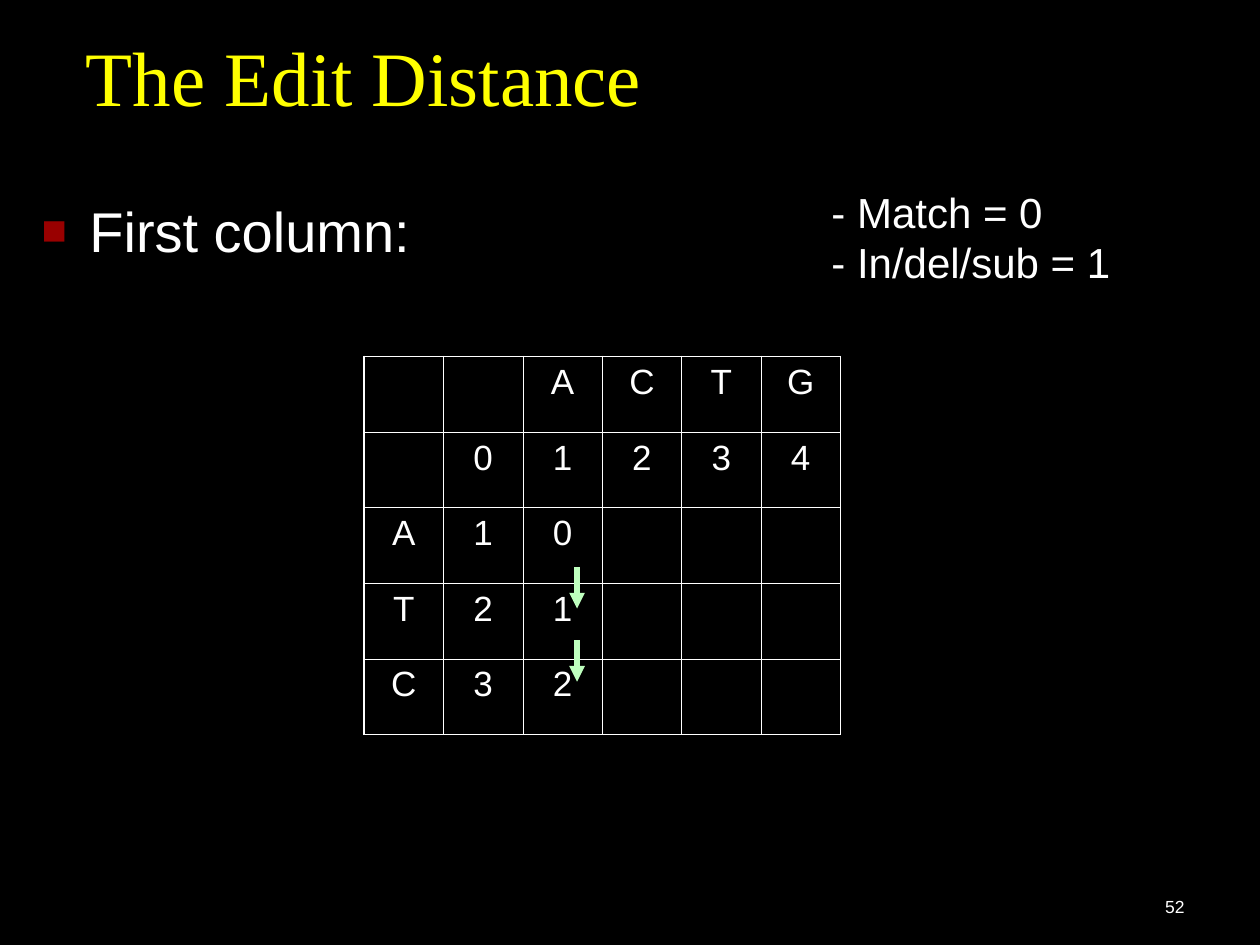
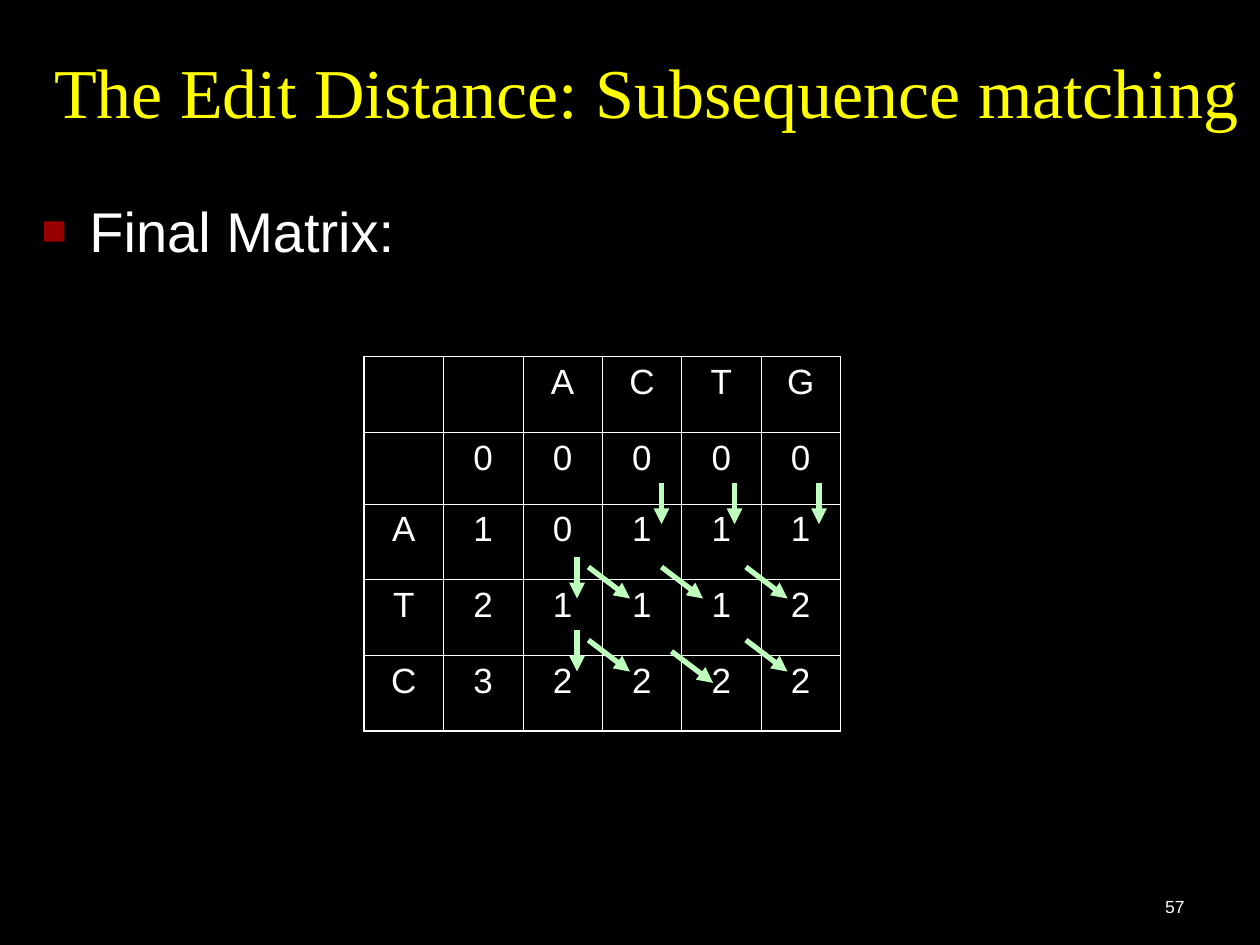
from dataclasses import dataclass

from lxml.etree import SubElement as Sub
from pptx import Presentation
from pptx.dml.color import RGBColor as RGB
from pptx.enum.shapes import MSO_CONNECTOR as Conn
from pptx.enum.text import MSO_ANCHOR as Anchor, MSO_AUTO_SIZE as Fit, PP_ALIGN as Align
from pptx.oxml.ns import qn
from pptx.util import Inches, Pt


@dataclass(frozen=True)
class Theme:
    back: str = "000000"
    head: str = "FFFF00"
    ink: str = "FFFFFF"
    mark: str = "990000"
    arrow: str = "BEFFBE"
    serif: str = "Times New Roman"
    sans: str = "Arial"
    list_size: int = 32
    note_size: int = 24
    cell_size: int = 20
    foot_size: int = 10
    thin: float = 0.45
    thick: float = 1.08
    shaft: int = 3


THEME = Theme()
DOWN = (0, 0.33)
SLANT = (0.33, 0.25)


def write(frame, text, size, font=THEME.sans, color=THEME.ink, align=Align.LEFT,
          anchor=Anchor.TOP, space=1.0, wrap=True):
    """Fill a text frame, one paragraph for each line of text."""
    frame.auto_size = Fit.NONE
    frame.word_wrap = wrap
    frame.vertical_anchor = anchor
    for i, line in enumerate(text.split("\n")):
        para = frame.paragraphs[0] if i == 0 else frame.add_paragraph()
        para.alignment = align
        para.line_spacing = space
        para.space_before = Pt(0)
        run = para.add_run()
        run.text = line
        run.font.size = Pt(size)
        run.font.name = font
        run.font.color.rgb = RGB.from_string(color)


class Deck:
    def __init__(self, theme):
        self.theme = theme
        self.prs = Presentation()
        self.prs.slide_width, self.prs.slide_height = Inches(10), Inches(7.5)
        fill = self.prs.slide_master.background.fill
        fill.solid()
        fill.fore_color.rgb = RGB.from_string(theme.back)
        self.slide = None

    def start(self, number):
        """Add a slide with its number at the lower right."""
        self.slide = self.prs.slides.add_slide(self.prs.slide_layouts[1])
        self.label(str(number), (7.42, 6.83, 2.08, 0.5), self.theme.foot_size,
                   align=Align.RIGHT, anchor=Anchor.BOTTOM)

    def place(self, shape, box):
        shape.left, shape.top, shape.width, shape.height = map(Inches, box)

    def title(self, text, box, size):
        shape = self.slide.shapes.title
        self.place(shape, box)
        write(shape.text_frame, text, size, font=self.theme.serif,
              color=self.theme.head, anchor=Anchor.BOTTOM, space=0.8)

    def bullet(self, text):
        shape = self.slide.placeholders[1]
        self.place(shape, (0.23, 1.51, 9.77, 3.57))
        write(shape.text_frame, text, self.theme.list_size)
        for para in shape.text_frame.paragraphs:
            props = para._p.get_or_add_pPr()
            props.set("marL", str(Inches(0.38)))
            props.set("indent", str(-Inches(0.38)))
            Sub(Sub(props, qn("a:buClr")), qn("a:srgbClr"), val=self.theme.mark)
            Sub(props, qn("a:buSzPct"), val="75000")
            Sub(props, qn("a:buFont"), typeface=self.theme.sans)
            Sub(props, qn("a:buChar"), char="■")

    def label(self, text, box, size, **style):
        shape = self.slide.shapes.add_textbox(*map(Inches, box))
        write(shape.text_frame, text, size, **style)

    def border(self, cell, side, width):
        line = Sub(cell._tc.get_or_add_tcPr(), qn(f"a:ln{side}"), w=str(Pt(width)))
        Sub(Sub(line, qn("a:solidFill")), qn("a:srgbClr"), val=self.theme.ink)

    def matrix(self, rows, heights):
        """Draw a grid of single letters; a dot stands for an empty cell."""
        cols = len(rows[0])
        table = self.slide.shapes.add_table(
            len(rows), cols, Inches(2.89), Inches(2.83),
            Inches(0.63 * cols), Inches(sum(heights))).table
        table.first_row = table.horz_banding = False
        for col in table.columns:
            col.width = Inches(0.63)
        for r, row in enumerate(rows):
            table.rows[r].height = Inches(heights[r])
            for c, value in enumerate(row):
                cell = table.cell(r, c)
                edges = {"L": c == 0, "R": c == cols - 1,
                         "T": r == 0, "B": r == len(rows) - 1}
                for side, outer in edges.items():
                    self.border(cell, side, self.theme.thick if outer else self.theme.thin)
                cell.fill.background()
                if value != ".":
                    write(cell.text_frame, value, self.theme.cell_size, align=Align.CENTER)

    def arrows(self, starts, step):
        """Draw one arrow of the same step from each start point."""
        for x, y in starts:
            ends = map(Inches, (x, y, x + step[0], y + step[1]))
            link = self.slide.shapes.add_connector(Conn.STRAIGHT, *ends)
            link.line.color.rgb = RGB.from_string(self.theme.arrow)
            link.line.width = Pt(self.theme.shaft)
            props = link._element.spPr
            Sub(props.find(qn("a:ln")), qn("a:tailEnd"), type="triangle")
            Sub(props, qn("a:effectLst"))


def main():
    deck = Deck(THEME)

    # First column of the matrix
    deck.start(52)
    deck.title("The Edit Distance", (0.58, 0.23, 8.92, 0.78), 44)
    deck.bullet("First column:")
    deck.label("- Match = 0\n- In/del/sub = 1", (6.5, 1.43, 2.41, 0.9),
               THEME.note_size, wrap=False)
    deck.matrix(["..ACTG", ".01234", "A10...", "T21...", "C32..."], [0.6] * 5)
    deck.arrows([(4.58, 4.5), (4.58, 5.08)], DOWN)

    # Complete matrix
    deck.start(57)
    deck.title("The Edit Distance: Subsequence matching", (0.33, 0.33, 9.67, 0.77), 40)
    deck.bullet("Final Matrix:")
    deck.matrix(["..ACTG", ".00000", "A10111", "T21112", "C32222"],
                [0.6, 0.57, 0.6, 0.6, 0.6])
    deck.arrows([(x, 3.83) for x in (5.25, 5.83, 6.5)], DOWN)
    deck.arrows([(4.58, y) for y in (4.42, 5)], DOWN)
    deck.arrows([(x, 4.5) for x in (4.67, 5.25, 5.92)], SLANT)
    deck.arrows([(4.67, 5.08), (5.33, 5.17), (5.92, 5.08)], SLANT)

    deck.prs.save("out.pptx")


if __name__ == "__main__":
    main()
